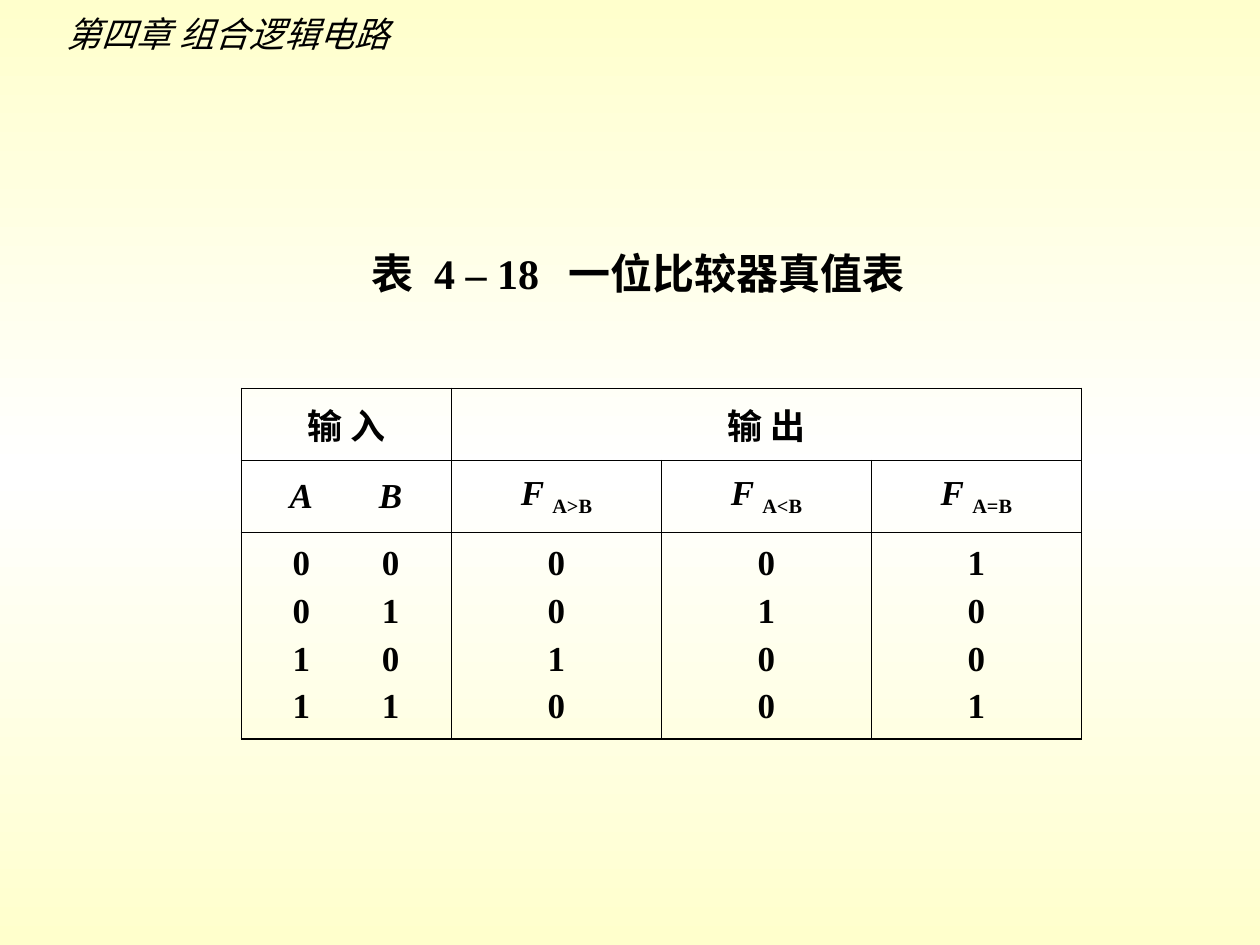
"""Build the slide with the truth table of a one-bit comparator."""
import copy

import pptx
import pptx.dml.color
import pptx.enum.text
import pptx.oxml
import pptx.oxml.ns
import pptx.util
from lxml import etree

Pt = pptx.util.Pt
qn = pptx.oxml.ns.qn
ALIGN = pptx.enum.text.PP_ALIGN
MIDDLE = pptx.enum.text.MSO_ANCHOR.MIDDLE

INK = "000000"
SANS = "Noto Sans CJK SC"
SERIF = "Times New Roman"
STOPS = [(0, "FFFFCC"), (0.5, "FFFFFF"), (1, "FFFFCC")]

CHAPTER = "第四章 组合逻辑电路"
TITLE = "表\t4 – 18\t一位比较器真值表"
HEADS = ["输 入", "输 出"]
INPUTS = "\tA\tB"
OUTPUTS = ["A>B", "A<B", "A=B"]
TRUTH = [
    ("00", "001"),
    ("01", "010"),
    ("10", "100"),
    ("11", "001"),
]

LEFT, TOP, WIDTH = 138, 222, 120
HEIGHTS = [41, 41, 118]
PAIR = [(27, "ctr"), (78, "ctr")]
THIN, THICK = 0.45, 1.08


def color(code):
    return pptx.dml.color.RGBColor.from_string(code)


def write(frame, lines, size=20, font=SERIF, bold=True, italic=False,
          align=ALIGN.LEFT, tabs=(), sub=""):
    frame.word_wrap = True
    for num, line in enumerate(lines):
        para = frame.add_paragraph() if num else frame.paragraphs[0]
        para.alignment = align
        if num:
            para.space_before = Pt(5)
        if tabs:
            stops = etree.SubElement(para._p.get_or_add_pPr(), qn("a:tabLst"))
            for pos, kind in tabs:
                etree.SubElement(stops, qn("a:tab"), pos=str(Pt(pos)), algn=kind)
        for text, low in ((line, False), (sub, True)):
            if not text:
                continue
            run = para.add_run()
            run.text = text
            face = run.font
            face.size, face.name, face.bold = Pt(size), font, bold
            face.italic = italic and not low
            face.color.rgb = color(INK)
            etree.SubElement(face._element, qn("a:ea"), typeface=SANS)
            if low:
                face._element.set("baseline", "-25000")


def border(cell, sides):
    props = cell._tc.get_or_add_tcPr()
    for side, outer in sides.items():
        width = Pt(THICK if outer else THIN)
        line = etree.SubElement(props, qn("a:ln" + side), w=str(width))
        fill = etree.SubElement(line, qn("a:solidFill"))
        etree.SubElement(fill, qn("a:srgbClr"), val=INK)


def paint(slide):
    fill = slide.background.fill
    fill.gradient()
    stops = next(slide._element.iter(qn("a:gsLst")))
    stops.append(copy.deepcopy(stops[0]))
    for stop, (pos, code) in zip(fill.gradient_stops, STOPS):
        stop.position = pos
        stop.color.rgb = color(code)
    fill.gradient_angle = 270


def label(slide, box, text, **form):
    shape = slide.shapes.add_textbox(*map(Pt, box))
    write(shape.text_frame, [text], **form)


def draw(slide):
    cols = 1 + len(OUTPUTS)
    rows = len(HEIGHTS)
    table = slide.shapes.add_table(rows, cols, Pt(LEFT), Pt(TOP),
                                   Pt(cols * WIDTH), Pt(sum(HEIGHTS))).table
    table.first_row = table.horz_banding = False
    for col in table.columns:
        col.width = Pt(WIDTH)
    for row, height in zip(table.rows, HEIGHTS):
        row.height = Pt(height)
    for r in range(rows):
        for c in range(cols):
            cell = table.cell(r, c)
            cell.vertical_anchor = MIDDLE
            border(cell, {"L": c == 0, "R": c == cols - 1,
                          "T": r == 0, "B": r == rows - 1})
            cell.fill.background()
    table.cell(0, 1).merge(table.cell(0, cols - 1))

    def put(r, c, lines, **form):
        write(table.cell(r, c).text_frame, lines, **form)

    for c, head in enumerate(HEADS):
        put(0, c, [head], align=ALIGN.CENTER)
    put(1, 0, [INPUTS], italic=True, tabs=PAIR)
    put(2, 0, ["\t" + "\t".join(bits) for bits, _ in TRUTH], tabs=PAIR)
    for c, name in enumerate(OUTPUTS):
        put(1, c + 1, ["F "], italic=True, align=ALIGN.CENTER, sub=name)
        put(2, c + 1, [out[c] for _, out in TRUTH], align=ALIGN.CENTER)


def main():
    deck = pptx.Presentation()
    deck.slide_width, deck.slide_height = Pt(720), Pt(540)
    slide = deck.slides.add_slide(deck.slide_layouts[6])
    paint(slide)
    label(slide, (31, 3.6, 204, 32), CHAPTER, font=SANS, bold=False, italic=True)
    draw(slide)
    label(slide, (205, 138, 325, 36), TITLE, size=24, tabs=[(36, "l"), (113, "l")])
    deck.save("out.pptx")


if __name__ == "__main__":
    main()
